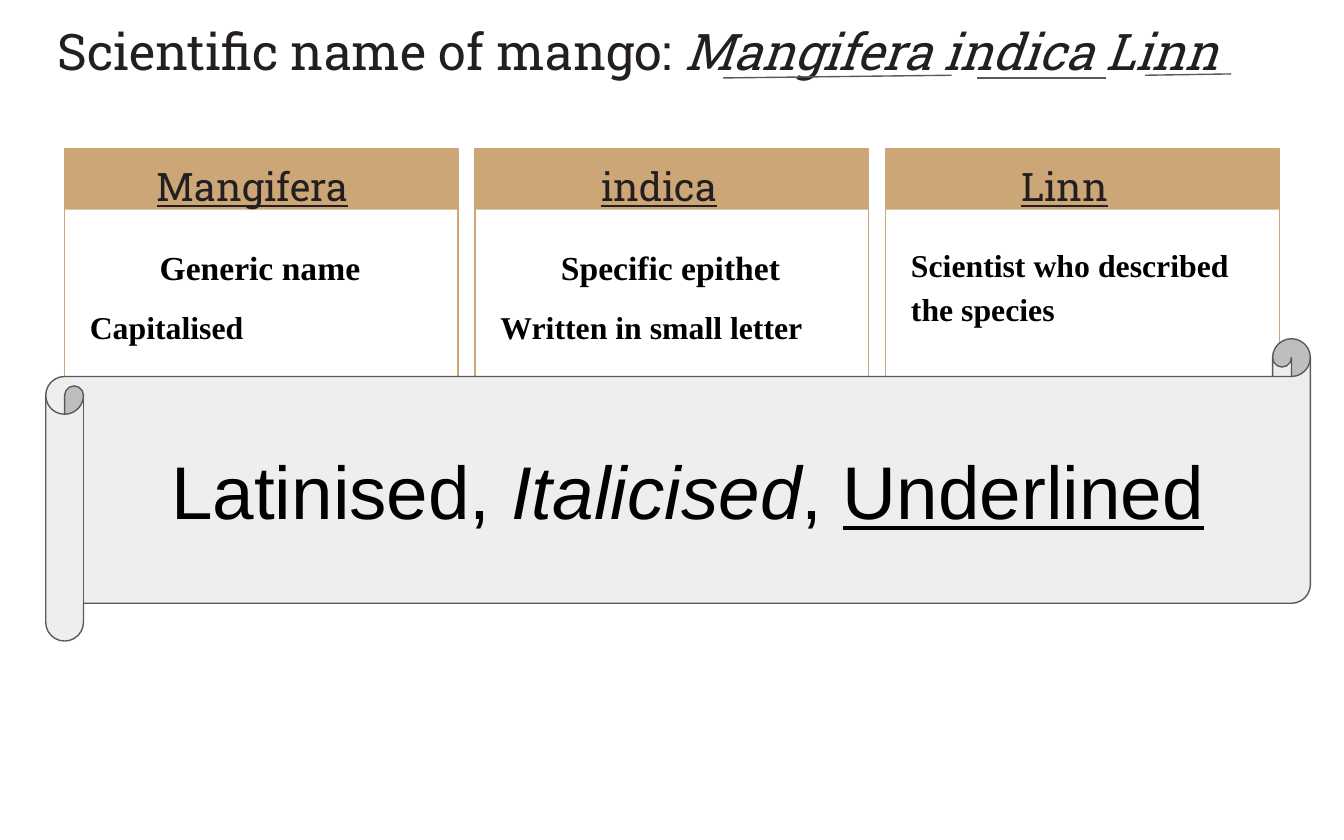
from lxml import etree
from pptx import Presentation
from pptx.dml.color import RGBColor
from pptx.enum.shapes import MSO_CONNECTOR, MSO_SHAPE
from pptx.enum.text import MSO_ANCHOR, PP_ALIGN
from pptx.oxml.ns import qn
from pptx.util import Inches, Pt

RECTANGLE = MSO_SHAPE.RECTANGLE
SCROLL = MSO_SHAPE.HORIZONTAL_SCROLL
STRAIGHT = MSO_CONNECTOR.STRAIGHT
TOP, MIDDLE, BOTTOM = MSO_ANCHOR.TOP, MSO_ANCHOR.MIDDLE, MSO_ANCHOR.BOTTOM
LEFT, CENTER, JUSTIFY = PP_ALIGN.LEFT, PP_ALIGN.CENTER, PP_ALIGN.JUSTIFY

TAN, INK, BLACK, PALE, GRAY = "CCA677", "231F20", "000000", "EEEEEE", "595959"
SLAB, SERIF, SANS = "Roboto Slab", "Times New Roman", "Arial"

CARD_LEFT, CARD_TOP, CARD_PITCH = 0.48, 1.11, 3.055
CARD_WIDTH, CARD_HEIGHT, HEADER_HEIGHT = 2.93, 3.38, 0.45
TEXT_INSET, TEXT_WIDTH, BODY_TOP = 0.09, 2.73, 1.69

# Name, indent of the name, heading, detail
CARDS = [
    ("Mangifera", 0.56, "Generic name", "Capitalised"),
    ("indica", 0.81, "Specific epithet", "Written in small letter"),
    ("Linn", 0.88, None, "Scientist who described the species"),
]
UNDERLINES = [
    (5.38, 0.58, 7.08, 0.56),
    (7.27, 0.58, 8.23, 0.58),
    (8.52, 0.56, 9.16, 0.55),
]


def color(value):
    return RGBColor.from_string(value)


def set_up_frame(frame, anchor):
    frame.word_wrap = True
    frame.vertical_anchor = anchor
    frame.margin_left = frame.margin_right = Inches(0.1)
    frame.margin_top = frame.margin_bottom = Inches(0.1)


def add_text_box(slide, left, top, width, height, anchor=TOP):
    box = slide.shapes.add_textbox(
        Inches(left), Inches(top), Inches(width), Inches(height))
    set_up_frame(box.text_frame, anchor)
    return box.text_frame


def add_span(para, text, font, size, ink, bold=None, italic=None, underline=None):
    span = para.add_run()
    span.text = text
    span.font.name = font
    span.font.size = Pt(size)
    span.font.color.rgb = color(ink)
    span.font.bold = bold
    span.font.italic = italic
    span.font.underline = underline


def add_shape(slide, kind, left, top, width, height, fill=None, line=None):
    shape = slide.shapes.add_shape(
        kind, Inches(left), Inches(top), Inches(width), Inches(height))
    shape.shadow.inherit = False
    if fill:
        shape.fill.solid()
        shape.fill.fore_color.rgb = color(fill)
    else:
        shape.fill.background()
    if line:
        shape.line.color.rgb = color(line)
        shape.line.width = Pt(0.75)
    else:
        shape.line.fill.background()
    return shape


def add_line(slide, x1, y1, x2, y2):
    line = slide.shapes.add_connector(
        STRAIGHT, Inches(x1), Inches(y1), Inches(x2), Inches(y2))
    line.line.color.rgb = color(GRAY)
    line.line.width = Pt(0.75)
    etree.SubElement(line._element.spPr, qn("a:effectLst"))


def add_title(slide):
    para = add_text_box(slide, 0.33, 0.2, 9.32, 0.5, BOTTOM).paragraphs[0]
    para.alignment = JUSTIFY
    add_span(para, "Scientific name of mango: ", SLAB, 27, INK)
    add_span(para, "Mangifera indica Linn", SLAB, 27, INK, italic=True)


def add_card(slide, left, name, indent, heading, detail):
    add_shape(slide, RECTANGLE, left, CARD_TOP, CARD_WIDTH, CARD_HEIGHT, line=TAN)
    add_shape(slide, RECTANGLE, left, CARD_TOP, CARD_WIDTH, HEADER_HEIGHT, fill=TAN)

    text_left = left + TEXT_INSET
    header = add_text_box(slide, text_left, CARD_TOP, TEXT_WIDTH, HEADER_HEIGHT)
    para = header.paragraphs[0]
    para.alignment = JUSTIFY
    properties = para._p.get_or_add_pPr()
    properties.set("marL", str(Inches(indent)))
    properties.set("indent", str(Inches(-0.06)))
    add_span(para, name, SLAB, 21, INK, underline=True)

    body = add_text_box(slide, text_left, BODY_TOP, TEXT_WIDTH,
                        CARD_TOP + CARD_HEIGHT - BODY_TOP)
    para = body.paragraphs[0]
    if heading:
        para.alignment = CENTER
        para.line_spacing = 1.15
        add_span(para, heading, SERIF, 18, BLACK, bold=True)
        para = body.add_paragraph()
        para.space_before = Pt(8)
    para.alignment = LEFT
    para.line_spacing = 1.15
    para.space_after = Pt(8)
    add_span(para, detail, SERIF, 17, BLACK, bold=True)


def add_scroll(slide):
    scroll = add_shape(slide, SCROLL, 0.34, 2.52, 9.41, 2.25, PALE, GRAY)
    scroll.adjustments[0] = 0.125
    set_up_frame(scroll.text_frame, MIDDLE)
    para = scroll.text_frame.paragraphs[0]
    para.alignment = CENTER
    add_span(para, "Latinised, ", SANS, 40, BLACK)
    add_span(para, "Italicised", SANS, 40, BLACK, italic=True)
    add_span(para, ", ", SANS, 40, BLACK)
    add_span(para, "Underlined", SANS, 40, BLACK, underline=True)


def main():
    deck = Presentation()
    deck.slide_width, deck.slide_height = Inches(10), Inches(6.25)
    slide = deck.slides.add_slide(deck.slide_layouts[6])
    add_title(slide)
    for index, card in enumerate(CARDS):
        add_card(slide, CARD_LEFT + index * CARD_PITCH, *card)
    add_scroll(slide)
    for ends in UNDERLINES:
        add_line(slide, *ends)
    deck.save("out.pptx")


if __name__ == "__main__":
    main()
